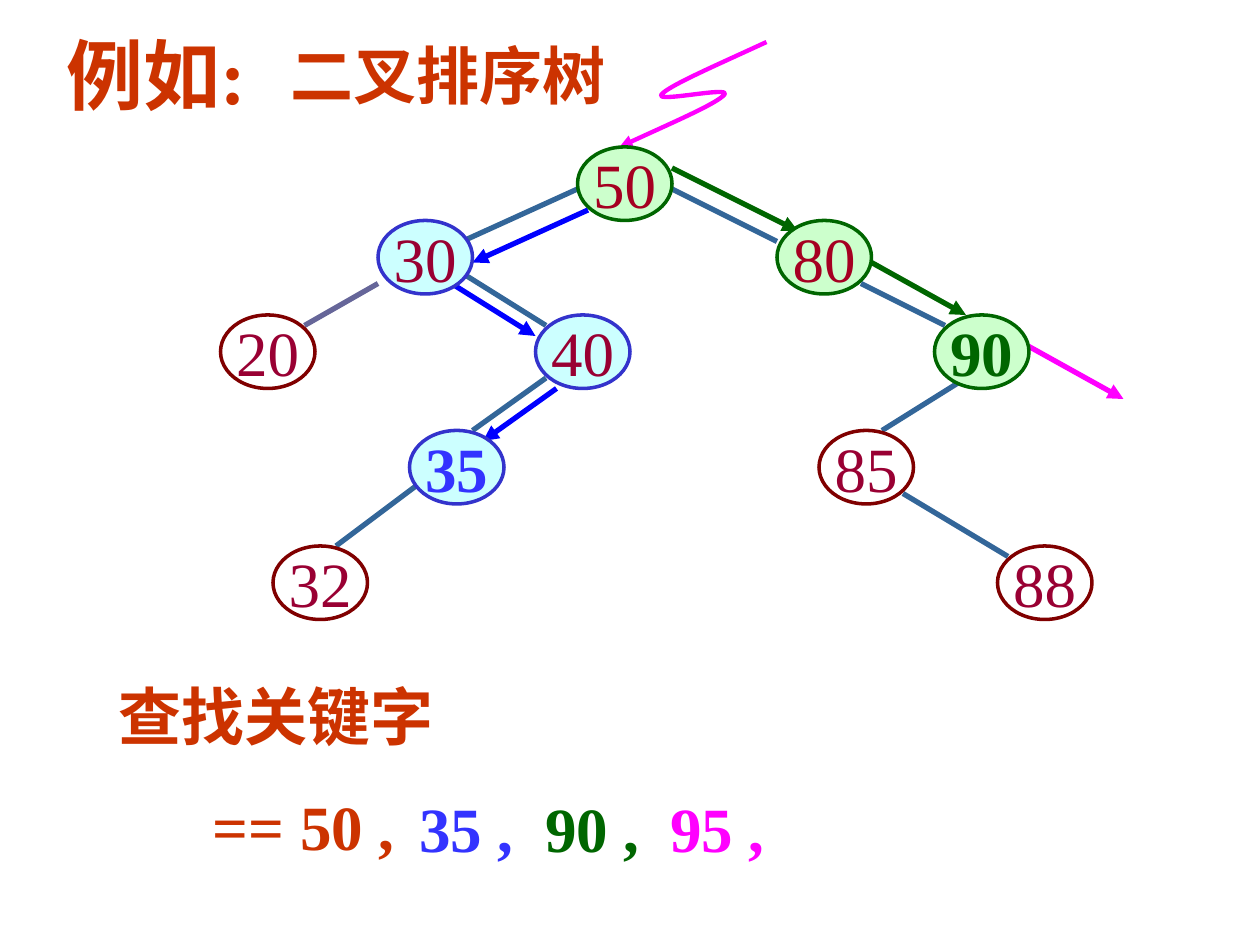
from lxml.etree import SubElement
from pptx import Presentation
from pptx.dml.color import RGBColor
from pptx.enum.shapes import MSO_CONNECTOR, MSO_SHAPE
from pptx.enum.text import MSO_ANCHOR, MSO_AUTO_SIZE, PP_ALIGN
from pptx.oxml.ns import qn
from pptx.util import Cm, Pt

C = {"rust": "CC3300", "blue": "3333FF", "green": "006600", "pink": "FF00FF",
     "arrow": "0000FF", "edge": "336699", "edge2": "666699", "maroon": "800000",
     "rim": "3333CC", "cyan": "CCFFFF", "mint": "CCFFCC", "wine": "990033", "red": "A50021"}
FONT = "Times New Roman"
GRID = 2.54 / 12
NODE_W, NODE_H = 9, 7

TITLE = ("二叉排序树", 5.61, 0.61, 6.86, 36, "rust")
TEXTS = [
    ("例如:", 1.09, 0.43, 4.5, 44, "rust"),
    ("查找关键字", 2.13, 13.54, 6.86, 36, "rust"),
    ("== 50 ,", 4.04, 15.75, 4.17, 36, "rust"),
    ("35 ,", 8.2, 15.8, 2.41, 36, "blue"),
    ("90 ,", 10.74, 15.8, 2.41, 36, "green"),
    ("95 ,", 13.26, 15.8, 2.41, 36, "pink"),
]
STYLES = {
    "plain": (None, "maroon", "wine"),
    "left": ("cyan", "rim", "wine"),
    "right": ("mint", "green", "red"),
}
FOUND = {"35": "blue", "90": "green"}
NODES = [
    ("20", 21, 30, "plain"), ("85", 78, 41, "plain"), ("88", 95, 52, "plain"),
    ("32", 26, 52, "plain"), ("30", 36, 21, "left"), ("40", 51, 30, "left"),
    ("35", 39, 41, "left"), ("50", 55, 14, "right"), ("80", 74, 21, "right"),
    ("90", 89, 30, "right"),
]
EDGES = [
    (55, 18, 44, 23, "edge"), (36, 27, 29, 31, "edge2"), (64, 18, 74, 23, "edge"),
    (44, 26, 52, 31, "edge"), (52, 36, 45, 41, "edge"), (82, 27, 90, 31, "edge"),
    (92, 36, 84, 41, "edge"), (86, 47, 96, 53, "edge"), (40, 46, 32, 52, "edge"),
]
ARROWS = [
    (56, 20, 45, 25, "arrow"), (43, 27, 51, 32, "arrow"), (53, 37, 46, 42, "arrow"),
    (64, 16, 76, 22, "green"), (83, 25, 92, 30, "green"), (98, 33, 107, 38, "pink"),
]
CURVE = [(73, 4), (68.33, 6.17), (63.67, 8.17), (63, 9), (62.33, 9.83), (69.67, 8.17),
         (69, 9), (68.33, 9.83), (63.67, 11.83), (59, 14)]


def rgb(name):
    return RGBColor.from_string(C[name])


def grid(*values):
    return [Cm(v * GRID) for v in values]


def set_line(shape, color, width, arrow=False):
    shape.line.color.rgb = rgb(color)
    shape.line.width = Pt(width)
    if arrow:
        SubElement(shape.line._ln, qn("a:tailEnd"), type="triangle")


def write(shape, text, size, color, bold, align, anchor):
    tf = shape.text_frame
    tf.text = text
    tf.word_wrap = False
    tf.vertical_anchor = anchor
    p = tf.paragraphs[0]
    p.alignment = align
    font = p.runs[0].font
    font.name, font.size, font.bold = FONT, Pt(size), bold
    font.color.rgb = rgb(color)


def place_text(shape, text, left, top, width, size, color):
    shape.left, shape.top = Cm(left), Cm(top)
    shape.width, shape.height = Cm(width), Pt(size * 1.2 + 7.2)
    write(shape, text, size, color, True, PP_ALIGN.LEFT, MSO_ANCHOR.TOP)
    shape.text_frame.auto_size = MSO_AUTO_SIZE.SHAPE_TO_FIT_TEXT


def add_link(s, x1, y1, x2, y2, color, arrow):
    link = s.shapes.add_connector(MSO_CONNECTOR.STRAIGHT, *grid(x1, y1, x2, y2))
    set_line(link, color, 3, arrow)
    SubElement(link._element.spPr, qn("a:effectLst"))


def add_curve(s):
    points = [tuple(grid(x, y)) for x, y in CURVE]
    builder = s.shapes.build_freeform(*points[0])
    builder.add_line_segments(points[1:], close=False)
    sp = builder.convert_to_shape()
    sp.shadow.inherit = False
    sp.fill.background()
    set_line(sp, "pink", 2.5, True)
    outline = next(sp._element.iter(qn("a:path")))
    for i, segment in enumerate(outline.findall(qn("a:lnTo"))):
        if i % 3 == 0:
            bezier = SubElement(outline, qn("a:cubicBezTo"))
        bezier.append(segment[0])
        outline.remove(segment)


def add_node(s, key, x, y, style):
    fill, rim, ink = STYLES[style]
    sp = s.shapes.add_shape(MSO_SHAPE.OVAL, *grid(x, y, NODE_W, NODE_H))
    sp.shadow.inherit = False
    if fill:
        sp.fill.solid()
        sp.fill.fore_color.rgb = rgb(fill)
    else:
        sp.fill.background()
    set_line(sp, rim, 2)
    write(sp, key, 36, FOUND.get(key, ink), key in FOUND, PP_ALIGN.CENTER, MSO_ANCHOR.MIDDLE)


def main():
    """Build the binary search tree slide with its search routes."""
    prs = Presentation()
    prs.slide_width, prs.slide_height = Cm(25.4), Cm(19.05)
    s = prs.slides.add_slide(prs.slide_layouts[5])
    place_text(s.shapes.title, *TITLE)
    for edge in EDGES:
        add_link(s, *edge, arrow=False)
    for item in TEXTS:
        place_text(s.shapes.add_textbox(0, 0, 0, 0), *item)
    add_curve(s)
    for arrow in ARROWS:
        add_link(s, *arrow, arrow=True)
    for node in NODES:
        add_node(s, *node)
    prs.save("out.pptx")


if __name__ == "__main__":
    main()
